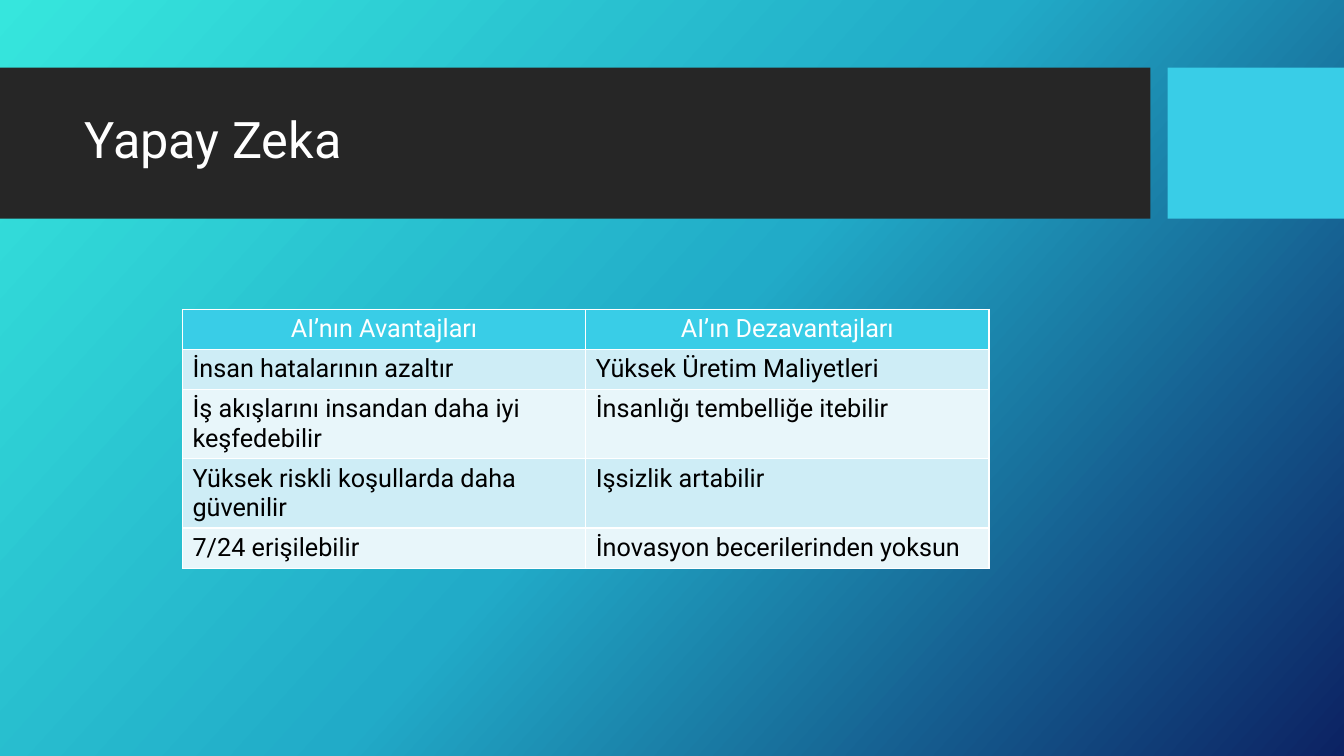
"""Build the slide on the advantages and disadvantages of AI."""
from dataclasses import dataclass

import lxml.etree
import pptx
import pptx.dml.color
import pptx.enum.text
import pptx.enum.shapes
import pptx.oxml.ns
import pptx.util

Inches = pptx.util.Inches
qn = pptx.oxml.ns.qn
PP_ALIGN = pptx.enum.text.PP_ALIGN
ANCHOR = pptx.enum.text.MSO_ANCHOR


@dataclass(frozen=True)
class Theme:
    """Colours, type sizes and font of the slide."""
    font: str = "Roboto"
    title_size: int = 36
    table_size: int = 18
    white: str = "FFFFFF"
    black: str = "000000"
    bar: str = "262626"
    accent: str = "39CDE7"
    bands: tuple = ("CEEDF6", "E8F6FA")
    gradient: tuple = ((0, "36E6DD"), (50, "21ABC8"), (100, "0C2263"))


THEME = Theme()

ROWS = (
    ("AI’nın Avantajları", "AI’ın Dezavantajları"),
    ("İnsan hatalarının azaltır", "Yüksek Üretim Maliyetleri"),
    ("İş akışlarını insandan daha iyi keşfedebilir", "İnsanlığı tembelliğe itebilir"),
    ("Yüksek riskli koşullarda daha güvenilir", "Işsizlik artabilir"),
    ("7/24 erişilebilir", "İnovasyon becerilerinden yoksun"),
)


def rgb(color):
    """Turn a hex string into a colour."""
    return pptx.dml.color.RGBColor.from_string(color)


def set_text(tf, text, *, size, color, align=PP_ALIGN.LEFT, spacing=1.0):
    """Write one formatted paragraph into a text frame."""
    tf.word_wrap = True
    p = tf.paragraphs[0]
    p.alignment = align
    p.line_spacing = spacing
    r = p.add_run()
    r.text = text
    r.font.name = THEME.font
    r.font.size = pptx.util.Pt(size)
    r.font.bold = False
    r.font.color.rgb = rgb(color)


def set_background(s):
    """Give the slide its diagonal gradient."""
    fill = s.background.fill
    fill.gradient()
    fill.gradient_angle = 360 - 42
    stops = s.background._cSld.find(".//" + qn("a:gsLst"))
    for stop in list(stops):
        stops.remove(stop)
    for position, color in THEME.gradient:
        stop = lxml.etree.SubElement(stops, qn("a:gs"), pos=str(position * 1000))
        lxml.etree.SubElement(stop, qn("a:srgbClr"), val=color)


def add_bar(s, left, width, color):
    """Add a plain rectangle in the title band."""
    sp = s.shapes.add_shape(pptx.enum.shapes.MSO_SHAPE.RECTANGLE,
                            Inches(left), Inches(0.67), Inches(width), Inches(1.5))
    sp.shadow.inherit = False
    sp.fill.solid()
    sp.fill.fore_color.rgb = rgb(color)
    sp.line.fill.background()


def add_title(s, text):
    """Place the title placeholder in front of the band."""
    sp = s.shapes.title
    sp.left, sp.top = Inches(0.74), Inches(0.82)
    sp.width, sp.height = Inches(10.51), Inches(1.18)
    sp.text_frame.vertical_anchor = ANCHOR.MIDDLE
    set_text(sp.text_frame, text, size=THEME.title_size, color=THEME.white, spacing=0.9)
    sp.element.getparent().append(sp.element)


def set_borders(cell, color, width):
    """Draw a line on all four sides of a cell."""
    tcPr = cell._tc.get_or_add_tcPr()
    for side in ("a:lnL", "a:lnR", "a:lnT", "a:lnB"):
        ln = lxml.etree.SubElement(tcPr, qn(side), w=str(pptx.util.Pt(width)))
        fill = lxml.etree.SubElement(ln, qn("a:solidFill"))
        lxml.etree.SubElement(fill, qn("a:srgbClr"), val=color)


def add_table(s, rows):
    """Add a table with a header and banded rows."""
    row_height = Inches(0.4)
    table = s.shapes.add_table(len(rows), len(rows[0]), Inches(1.81), Inches(3.07),
                               Inches(8), row_height * len(rows)).table
    table.rows[0].height = Inches(0.39)
    for i, row in enumerate(rows):
        header = i == 0
        for j, text in enumerate(row):
            cell = table.cell(i, j)
            set_borders(cell, THEME.white, 1)
            cell.fill.solid()
            cell.fill.fore_color.rgb = rgb(THEME.accent if header else THEME.bands[(i - 1) % 2])
            set_text(cell.text_frame, text, size=THEME.table_size,
                     color=THEME.white if header else THEME.black,
                     align=PP_ALIGN.CENTER if header else PP_ALIGN.LEFT)


def main():
    """Build and save the presentation."""
    prs = pptx.Presentation()
    prs.slide_width, prs.slide_height = Inches(13.33), Inches(7.5)
    s = prs.slides.add_slide(prs.slide_layouts.get_by_name("Title Only"))
    set_background(s)
    add_bar(s, 0, 11.41, THEME.bar)
    add_bar(s, 11.58, 1.75, THEME.accent)
    add_title(s, "Yapay Zeka")
    add_table(s, ROWS)
    prs.save("out.pptx")


if __name__ == "__main__":
    main()
